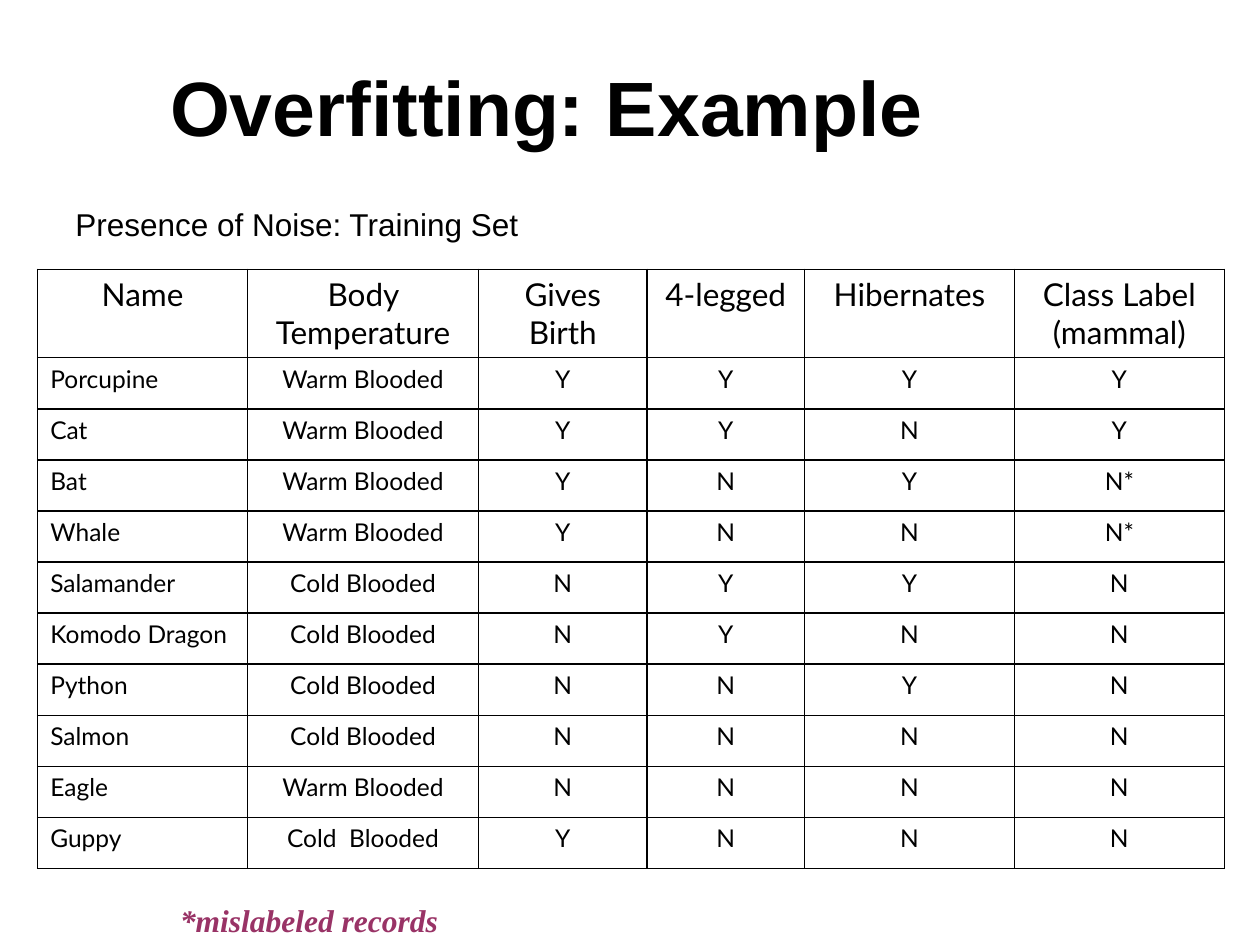
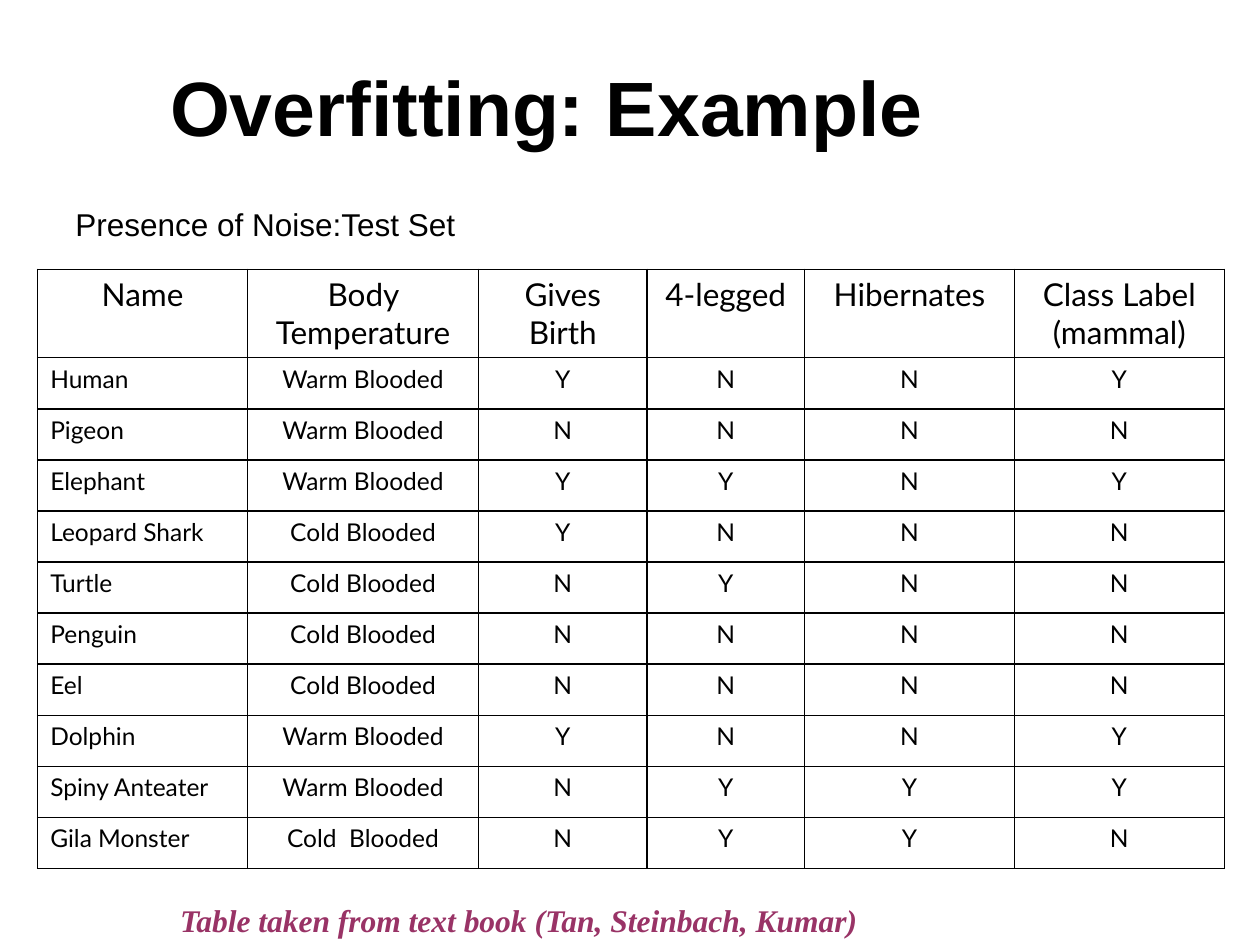
import pptx
import pptx.dml.color
import pptx.enum.text
import pptx.oxml
import pptx.oxml.ns
import pptx.util

Cm, Pt = pptx.util.Cm, pptx.util.Pt
ALIGN = pptx.enum.text.PP_ALIGN
ANCHOR = pptx.enum.text.MSO_ANCHOR

COLORS = {"ink": "000000", "note": "993366"}
FONTS = {"main": "Arial", "table": "Lato", "note": "Times New Roman"}

HEADER = ["Name", "Body Temperature", "Gives Birth", "4-legged",
          "Hibernates", "Class Label\n(mammal)"]
COLUMN_WIDTHS = [4.23, 4.66, 3.39, 3.18, 4.23, 4.23]
HEADER_HEIGHT, ROW_HEIGHT = 1.78, 1.03

# Each record: name, body temperature, then the four yes/no columns.
TRAINING_SET = [
    ("Porcupine", "Warm Blooded", "Y Y Y Y"),
    ("Cat", "Warm Blooded", "Y Y N Y"),
    ("Bat", "Warm Blooded", "Y N Y N*"),
    ("Whale", "Warm Blooded", "Y N N N*"),
    ("Salamander", "Cold Blooded", "N Y Y N"),
    ("Komodo Dragon", "Cold Blooded", "N Y N N"),
    ("Python", "Cold Blooded", "N N Y N"),
    ("Salmon", "Cold Blooded", "N N N N"),
    ("Eagle", "Warm Blooded", "N N N N"),
    ("Guppy", "Cold  Blooded", "Y N N N"),
]
TEST_SET = [
    ("Human", "Warm Blooded", "Y N N Y"),
    ("Pigeon", "Warm Blooded", "N N N N"),
    ("Elephant", "Warm Blooded", "Y Y N Y"),
    ("Leopard Shark", "Cold Blooded", "Y N N N"),
    ("Turtle", "Cold Blooded", "N Y N N"),
    ("Penguin", "Cold Blooded", "N N N N"),
    ("Eel", "Cold Blooded", "N N N N"),
    ("Dolphin", "Warm Blooded", "Y N N Y"),
    ("Spiny Anteater", "Warm Blooded", "N Y Y Y"),
    ("Gila Monster", "Cold  Blooded", "N Y Y N"),
]


class Deck:
    """Holds the presentation, its style and the current slide."""

    def __init__(self):
        """Start an empty 4:3 presentation."""
        self.prs = pptx.Presentation()
        self.prs.slide_width, self.prs.slide_height = Cm(25.4), Cm(19.05)
        self.s = None

    def new_slide(self):
        """Add a blank slide and make it current."""
        self.s = self.prs.slides.add_slide(self.prs.slide_layouts[6])

    def run(self, p, text, size, font="main", color="ink", bold=False, italic=False):
        """Add one styled run to a paragraph."""
        r = p.add_run()
        r.text = text
        r.font.name, r.font.size = FONTS[font], Pt(size)
        r.font.bold, r.font.italic = bold, italic
        r.font.color.rgb = pptx.dml.color.RGBColor.from_string(COLORS[color])

    def text_box(self, left, top, width, height):
        """Add a wrapping text box and return its text frame."""
        sp = self.s.shapes.add_textbox(Cm(left), Cm(top), Cm(width), Cm(height))
        sp.text_frame.word_wrap = True
        return sp.text_frame

    def title(self, text):
        """Add the slide title, standing on the bottom of its box."""
        tf = self.text_box(3.18, 0.84, 20.75, 2.34)
        tf.vertical_anchor = ANCHOR.BOTTOM
        self.run(tf.paragraphs[0], text, 44, bold=True)

    def body(self, text):
        """Add the body text with a hanging indent."""
        p = self.text_box(1.27, 4.01, 23.29, 12.9).paragraphs[0]
        p.space_before = Pt(3.6)
        pPr = p._p.get_or_add_pPr()
        pPr.set("marL", str(Cm(1.42)))
        pPr.set("indent", str(-Cm(1.42)))
        self.run(p, text, 18)

    def note(self, text):
        """Add the coloured note below the table."""
        tf = self.text_box(3.38, 18.03, 19.48, 1.02)
        tf.auto_size = pptx.enum.text.MSO_AUTO_SIZE.SHAPE_TO_FIT_TEXT
        self.run(tf.paragraphs[0], text, 18, "note", "note", bold=True, italic=True)

    def borders(self, cell):
        """Draw a thin line on all four sides of a cell."""
        tcPr = cell._tc.get_or_add_tcPr()
        for i, side in enumerate("LRTB"):
            tcPr.insert(i, pptx.oxml.parse_xml(
                f'<a:ln{side} {pptx.oxml.ns.nsdecls("a")} w="{Pt(1)}"><a:solidFill>'
                f'<a:srgbClr val="{COLORS["ink"]}"/></a:solidFill></a:ln{side}>'))

    def cell(self, cell, text, size, align):
        """Fill one table cell, a paragraph for each line of text."""
        cell.fill.background()
        self.borders(cell)
        tf = cell.text_frame
        for i, line in enumerate(text.split("\n")):
            p = tf.add_paragraph() if i else tf.paragraphs[0]
            p.alignment = align
            self.run(p, line, size, "table")

    def table(self, records):
        """Add the table of animals under the common header."""
        rows = [HEADER] + [[name, body, *flags.split()] for name, body, flags in records]
        heights = [HEADER_HEIGHT] + [ROW_HEIGHT] * len(records)
        table = self.s.shapes.add_table(
            len(rows), len(HEADER), Cm(0.76), Cm(5.43),
            Cm(sum(COLUMN_WIDTHS)), Cm(sum(heights))).table
        table.horz_banding = table.first_row = False
        for column, width in zip(table.columns, COLUMN_WIDTHS):
            column.width = Cm(width)
        for i, (row, height) in enumerate(zip(rows, heights)):
            table.rows[i].height = Cm(height)
            for j, text in enumerate(row):
                align = ALIGN.LEFT if i and j == 0 else ALIGN.CENTER
                self.cell(table.cell(i, j), text, 14 if i else 18, align)


def main():
    """Build both slides and save them."""
    deck = Deck()
    for body, records, note in [
        ("Presence of Noise: Training Set", TRAINING_SET, "*mislabeled records"),
        ("Presence of Noise:Test Set", TEST_SET,
         "Table taken from text book (Tan, Steinbach, Kumar)"),
    ]:
        deck.new_slide()
        deck.title("Overfitting: Example")
        deck.body(body)
        deck.table(records)
        deck.note(note)
    deck.prs.save("out.pptx")


main()
